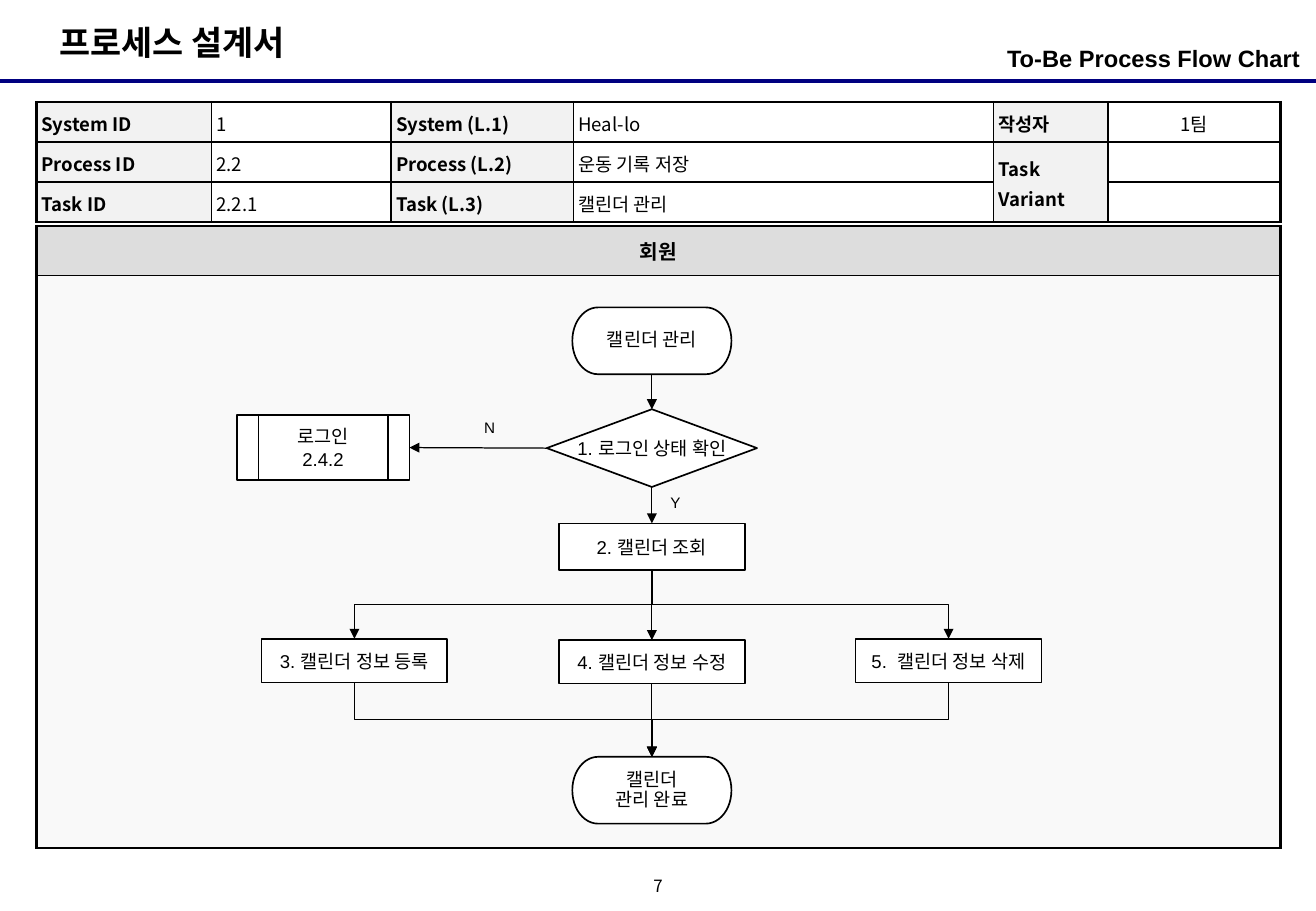
import pptx
import pptx.util
import pptx.dml.color
import pptx.enum.shapes
import pptx.enum.text
import pptx.oxml.ns
from lxml import etree

Pt = pptx.util.Pt
RGBColor = pptx.dml.color.RGBColor
SHAPE = pptx.enum.shapes.MSO_SHAPE
CONN = pptx.enum.shapes.MSO_CONNECTOR
ALIGN = pptx.enum.text.PP_ALIGN
ANCHOR = pptx.enum.text.MSO_ANCHOR
qn = pptx.oxml.ns.qn

BLACK = RGBColor(0x00, 0x00, 0x00)
WHITE = RGBColor(0xFF, 0xFF, 0xFF)
NAVY = RGBColor(0x00, 0x00, 0x80)
LABEL_FILL = RGBColor(0xF2, 0xF2, 0xF2)
HEADER_FILL = RGBColor(0xDD, 0xDD, 0xDD)
LANE_FILL = RGBColor(0xF9, 0xF9, 0xF9)
LATIN, KOREAN = "Arial", "Noto Sans CJK KR"
WIDTH, HEIGHT = 779.8, 540
TABLE_LEFT = 21.6

# Content
INFO = [
    ["System ID", "1", "System (L.1)", "Heal-lo", "작성자", "1팀"],
    ["Process ID", "2.2", "Process (L.2)", "운동 기록 저장", "Task Variant", ""],
    ["Task ID", "2.2.1", "Task (L.3)", "캘린더 관리", "", ""],
]
INFO_COLS = [103.7, 106.5, 108, 249.1, 67.7, 102.2]
LANE = [["회원"], [""]]

CENTER, LEFT, RIGHT = 386.3, 210, 562.1
TERMINATOR = (SHAPE.FLOWCHART_TERMINATOR, 94.3, 39.6)
DECISION = (SHAPE.FLOWCHART_DECISION, 124.6, 46.1)
LOOKUP = (SHAPE.RECTANGLE, 110.2, 27.4)
STEP = (SHAPE.RECTANGLE, 110.2, 25.9)
SUBPROCESS = (SHAPE.FLOWCHART_PREDEFINED_PROCESS, 102.2, 38.2)
# name: kind, centre x, top, lines
NODES = {
    "start": (TERMINATOR, CENTER, 182.2, ["캘린더 관리"]),
    "check": (DECISION, CENTER, 242.6, ["1. 로그인 상태 확인"]),
    "login": (SUBPROCESS, 191.5, 246.2, ["로그인", "2.4.2"]),
    "view": (LOOKUP, CENTER, 310.3, ["2. 캘린더 조회"]),
    "add": (STEP, LEFT, 378.7, ["3. 캘린더 정보 등록"]),
    "edit": (STEP, CENTER, 379.4, ["4. 캘린더 정보 수정"]),
    "delete": (STEP, RIGHT, 378.7, ["5.  캘린더 정보 삭제"]),
    "end": (TERMINATOR, CENTER, 448.6, ["캘린더", "관리 완료"]),
}
TOP_SITE, LEFT_SITE, BOTTOM_SITE, RIGHT_SITE = range(4)
ARROWS = [
    ("start", BOTTOM_SITE, "check", TOP_SITE),
    ("check", LEFT_SITE, "login", RIGHT_SITE),
    ("check", BOTTOM_SITE, "view", TOP_SITE),
    ("view", BOTTOM_SITE, "edit", TOP_SITE),
    ("edit", BOTTOM_SITE, "end", TOP_SITE),
]
ELBOWS = [("view", "add"), ("view", "delete"), ("add", "end"), ("delete", "end")]

# text, box, size, font, bold, alignment, anchor, wrap
TEXTS = [
    ("프로세스 설계서", (28.1, 9.4, 162.7, 31.7), 20, KOREAN, True,
     ALIGN.LEFT, ANCHOR.TOP, False, (7.2, 3.6)),
    ("To-Be Process Flow Chart", (532.1, 22.3, 238.3, 28), 14, LATIN, True,
     ALIGN.RIGHT, ANCHOR.TOP, True, (0, 3.6)),
    ("N", (282.2, 244.8, 15.8, 17.3), 9, LATIN, False,
     ALIGN.CENTER, ANCHOR.MIDDLE, True, (0, 0)),
    ("Y", (389.5, 289.4, 21.6, 17.3), 9, LATIN, False,
     ALIGN.CENTER, ANCHOR.MIDDLE, True, (0, 0)),
    ("7", (378, 516.2, 23.8, 18), 10, KOREAN, False,
     ALIGN.CENTER, ANCHOR.MIDDLE, False, (0, 0)),
]


def set_all(target, values):
    for name, value in values.items():
        setattr(target, name, value)


def margins(x, y):
    return {"margin_left": Pt(x), "margin_right": Pt(x),
            "margin_top": Pt(y), "margin_bottom": Pt(y)}


def write(tf, lines, size, font, bold=False, align=ALIGN.CENTER, spacing=1.0):
    for i, line in enumerate(lines):
        p = tf.paragraphs[0] if i == 0 else tf.add_paragraph()
        set_all(p, {"alignment": align, "line_spacing": spacing})
        if not line:
            etree.SubElement(p._p, qn("a:endParaRPr"), sz=str(size * 100))
            continue
        r = p.add_run()
        r.text = line
        set_all(r.font, {"size": Pt(size), "bold": bold, "name": font})
        r.font.color.rgb = BLACK
        etree.SubElement(r._r.get_or_add_rPr(), qn("a:ea"), typeface=KOREAN)


def style_line(c, color, width, arrow=True):
    c.line.color.rgb = color
    c.line.width = Pt(width)
    if arrow:
        etree.SubElement(c.line._get_or_add_ln(), qn("a:tailEnd"), type="triangle")
    etree.SubElement(c._element.spPr, qn("a:effectLst"))


def style_cell(cell, fill, borders):
    tcPr = cell._tc.get_or_add_tcPr()
    for side, width in zip("LRTB", borders):
        ln = etree.SubElement(tcPr, qn("a:ln" + side), w=str(Pt(width)))
        solid = etree.SubElement(ln, qn("a:solidFill"))
        etree.SubElement(solid, qn("a:srgbClr"), val=str(BLACK))
    cell.fill.solid()
    cell.fill.fore_color.rgb = fill


def add_grid(s, top, cols, rows, inner):
    frame = s.shapes.add_table(len(rows), len(cols), Pt(TABLE_LEFT), Pt(top),
                               Pt(sum(cols)), Pt(sum(rows)))
    table = frame.table
    set_all(table, {"first_row": False, "horz_banding": False})
    for column, width in zip(table.columns, cols):
        column.width = Pt(width)
    for row, height in zip(table.rows, rows):
        row.height = Pt(height)
    for i in range(len(rows)):
        for j in range(len(cols)):
            edges = (j == 0, j == len(cols) - 1, i == 0, i == len(rows) - 1)
            yield i, j, table.cell(i, j), [1.5 if e else inner for e in edges]


def add_elbow(s, x1, y1, x2, y2):
    # The box is laid on its side, then turned so that the path starts downward
    cx, cy = (x1 + x2) / 2, (y1 + y2) / 2
    half_w, half_h = (y2 - y1) / 2, abs(x2 - x1) / 2
    sign = 1 if x2 < x1 else -1
    c = s.shapes.add_connector(CONN.ELBOW, Pt(cx - sign * half_w), Pt(cy - half_h),
                               Pt(cx + sign * half_w), Pt(cy + half_h))
    c._element.spPr.find(qn("a:xfrm")).set("rot", str((90 if sign > 0 else 270) * 60000))
    style_line(c, BLACK, 0.75)


prs = pptx.Presentation()
set_all(prs, {"slide_width": Pt(WIDTH), "slide_height": Pt(HEIGHT)})
s = prs.slides.add_slide(prs.slide_layouts[6])

# Heading rule
rule = s.shapes.add_connector(CONN.STRAIGHT, 0, Pt(48.2), Pt(WIDTH), Pt(48.2))
style_line(rule, NAVY, 2.25, arrow=False)

# Swimlane
for i, j, cell, borders in add_grid(s, 133.9, [sum(INFO_COLS)], [29.5, 339.1], 0.75):
    cell.vertical_anchor = ANCHOR.MIDDLE
    write(cell.text_frame, LANE[i], 12, KOREAN, True)
    style_cell(cell, LANE_FILL if i else HEADER_FILL, borders)

# Process information
for i, j, cell, borders in add_grid(s, 60.5, INFO_COLS, [23.7] * 3, 1):
    label = j % 2 == 0
    set_all(cell, margins(2.9, 2.9))
    cell.vertical_anchor = ANCHOR.MIDDLE if j > 3 else ANCHOR.TOP
    write(cell.text_frame, [INFO[i][j]], 11, KOREAN, label,
          ALIGN.CENTER if j == 5 else ALIGN.LEFT, 1.1)
    style_cell(cell, LABEL_FILL if label else WHITE, borders)
    if (i, j) == (2, 4):
        variant.merge(cell)
    elif (i, j) == (1, 4):
        variant = cell

# Flow chart nodes
shapes = {}
for name, ((kind, w, h), cx, top, lines) in NODES.items():
    sp = s.shapes.add_shape(kind, Pt(cx - w / 2), Pt(top), Pt(w), Pt(h))
    sp.shadow.inherit = False
    sp.fill.solid()
    sp.fill.fore_color.rgb = WHITE
    sp.line.color.rgb = BLACK
    sp.line.width = Pt(1)
    tf = sp.text_frame
    set_all(tf, {"word_wrap": kind != SHAPE.FLOWCHART_DECISION,
                 "vertical_anchor": ANCHOR.MIDDLE, **margins(1.4, 0)})
    write(tf, lines, 11, LATIN, spacing=0.9 if kind == SHAPE.FLOWCHART_TERMINATOR else 1.0)
    shapes[name] = sp

# Arrows
for source, out_site, target, in_site in ARROWS:
    c = s.shapes.add_connector(CONN.STRAIGHT, 0, 0, 0, 0)
    c.begin_connect(shapes[source], out_site)
    c.end_connect(shapes[target], in_site)
    style_line(c, BLACK, 0.75)
for source, target in ELBOWS:
    (_, _, h), x1, top, _ = NODES[source]
    add_elbow(s, x1, top + h, NODES[target][1], NODES[target][2])

# Headings, branch labels and page number
for text, box, size, font, bold, align, anchor, wrap, inset in TEXTS:
    tf = s.shapes.add_textbox(*map(Pt, box)).text_frame
    set_all(tf, {"word_wrap": wrap, "vertical_anchor": anchor, **margins(*inset)})
    write(tf, [text], size, font, bold, align)

prs.save("out.pptx")
